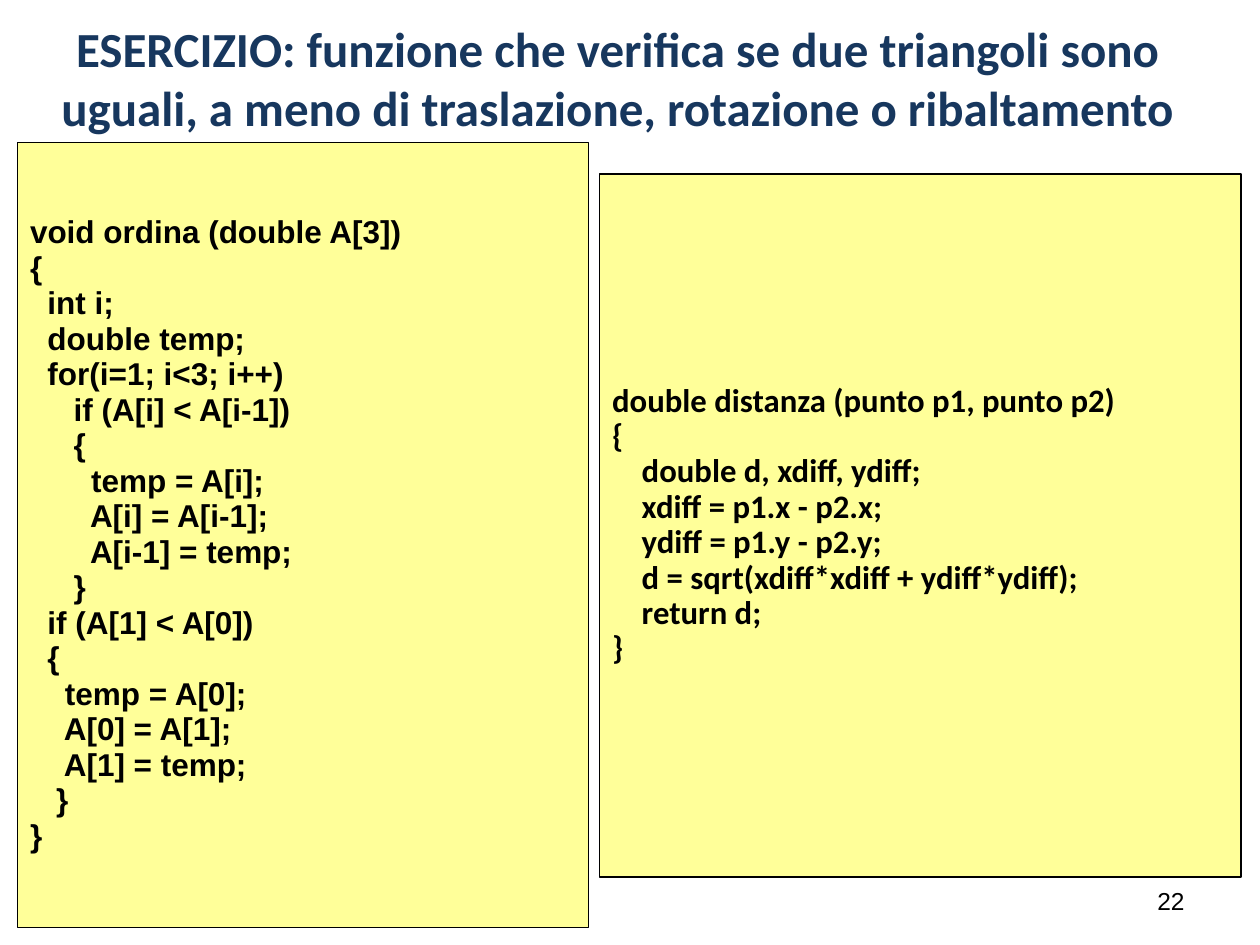
from dataclasses import dataclass

from pptx import Presentation
from pptx.dml.color import RGBColor
from pptx.enum.shapes import MSO_SHAPE
from pptx.enum.text import MSO_ANCHOR, PP_ALIGN
from pptx.util import Inches, Pt

PROCESS = MSO_SHAPE.FLOWCHART_PROCESS
MIDDLE = MSO_ANCHOR.MIDDLE
CENTER, RIGHT, JUSTIFY = PP_ALIGN.CENTER, PP_ALIGN.RIGHT, PP_ALIGN.JUSTIFY

COLORS = {"title": "17375E", "ink": "000000", "code_fill": "FFFF99"}
SLIDE_WIDTH, SLIDE_HEIGHT = Inches(10), Inches(7.5)
COLUMNS, ROWS = 100, 75

HEADING = (
    "ESERCIZIO: funzione che verifica se due triangoli sono uguali, "
    "a meno di traslazione, rotazione o ribaltamento"
)

SORT_CODE = """void ordina (double A[3])
{
  int i;
  double temp;
  for(i=1; i<3; i++)
     if (A[i] < A[i-1])
     {
       temp = A[i];
       A[i] = A[i-1];
       A[i-1] = temp;
     }
  if (A[1] < A[0])
  {
    temp = A[0];
    A[0] = A[1];
    A[1] = temp;
   }
}"""

DISTANCE_CODE = """double distanza (punto p1, punto p2)
{
    double d, xdiff, ydiff;
    xdiff = p1.x - p2.x;
    ydiff = p1.y - p2.y;
    d = sqrt(xdiff*xdiff + ydiff*ydiff);
    return d;
}"""


@dataclass(frozen=True)
class Area:
    column: float
    row: float
    columns: float
    rows: float

    def box(self) -> tuple[int, int, int, int]:
        cell_width, cell_height = SLIDE_WIDTH / COLUMNS, SLIDE_HEIGHT / ROWS
        return (
            round(self.column * cell_width),
            round(self.row * cell_height),
            round(self.columns * cell_width),
            round(self.rows * cell_height),
        )


@dataclass(frozen=True)
class CodePanel:
    area: Area
    code: str
    font: str
    size: float
    spacing: float


PANELS = (
    CodePanel(Area(1.4, 11.3, 45.3, 62.3), SORT_CODE, "Arial", 18, 0.94),
    CodePanel(Area(47.6, 13.8, 50.9, 55.8), DISTANCE_CODE, "Calibri", 18.7, 0.9),
)


def write(frame, text: str, *, font: str, size: float, color: str = "ink",
          bold: bool = False, align=JUSTIFY, spacing: float = 1.0) -> None:
    frame.word_wrap = True
    frame.vertical_anchor = MIDDLE
    for index, line in enumerate(text.split("\n")):
        paragraph = frame.paragraphs[0] if index == 0 else frame.add_paragraph()
        paragraph.alignment = align
        paragraph.line_spacing = spacing
        paragraph.space_before = Pt(0)
        run = paragraph.add_run()
        run.text = line
        run.font.name = font
        run.font.size = Pt(size)
        run.font.bold = bold
        run.font.color.rgb = RGBColor.from_string(COLORS[color])


def draw_panel(slide, panel: CodePanel) -> None:
    block = slide.shapes.add_shape(PROCESS, *panel.area.box())
    block.shadow.inherit = False
    block.fill.solid()
    block.fill.fore_color.rgb = RGBColor.from_string(COLORS["code_fill"])
    block.line.color.rgb = RGBColor.from_string(COLORS["ink"])
    block.line.width = Pt(0.75)
    write(block.text_frame, panel.code, font=panel.font, size=panel.size,
          bold=True, spacing=panel.spacing)


def main() -> None:
    deck = Presentation()
    deck.slide_width, deck.slide_height = SLIDE_WIDTH, SLIDE_HEIGHT
    slide = deck.slides.add_slide(deck.slide_layouts.get_by_name("Title Only"))

    heading = slide.shapes.title
    heading.left, heading.top, heading.width, heading.height = Area(3, 0, 92, 11.3).box()
    heading.text_frame.margin_top = Inches(0.15)
    write(heading.text_frame, HEADING, font="Calibri", size=28, color="title",
          bold=True, align=CENTER)

    page_number = slide.shapes.add_textbox(*Area(71.7, 69.5, 23.3, 4).box())
    write(page_number.text_frame, "22", font="Arial", size=14, align=RIGHT)

    for panel in PANELS:
        draw_panel(slide, panel)

    deck.save("out.pptx")


if __name__ == "__main__":
    main()
